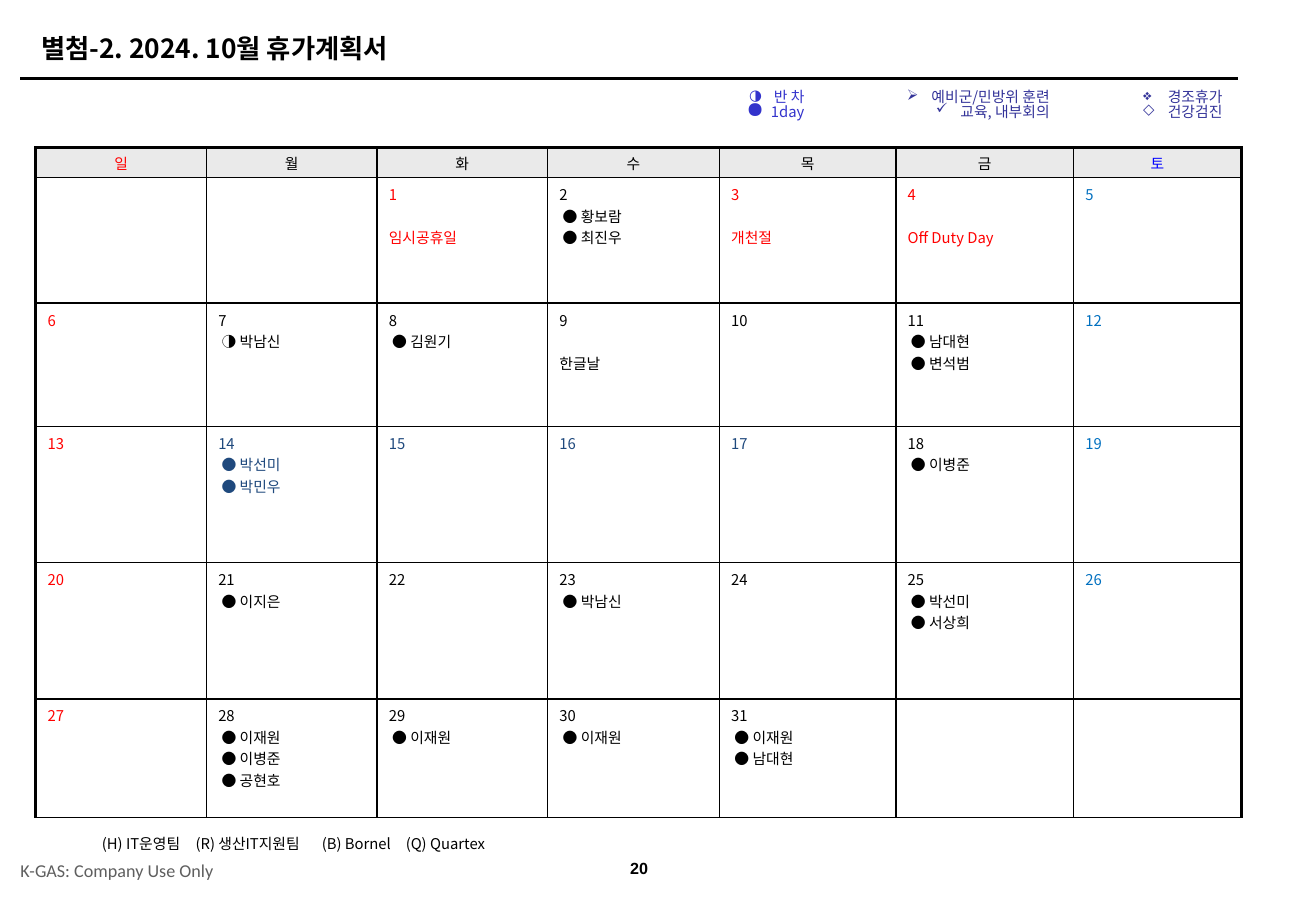
from dataclasses import dataclass

from lxml import etree
from pptx import Presentation
from pptx.dml.color import RGBColor
from pptx.enum.shapes import MSO_CONNECTOR
from pptx.enum.text import MSO_ANCHOR, PP_ALIGN
from pptx.oxml.ns import qn
from pptx.util import Pt

LEFT, CENTER, RIGHT = PP_ALIGN.LEFT, PP_ALIGN.CENTER, PP_ALIGN.RIGHT
TOP, MIDDLE = MSO_ANCHOR.TOP, MSO_ANCHOR.MIDDLE
STRAIGHT = MSO_CONNECTOR.STRAIGHT

BLACK = RGBColor(0x00, 0x00, 0x00)
RED = RGBColor(0xFF, 0x00, 0x00)
BLUE = RGBColor(0x00, 0x00, 0xFF)
SATURDAY_BLUE = RGBColor(0x00, 0x70, 0xC0)
NAVY = RGBColor(0x1F, 0x49, 0x7D)
HEADER_GRAY = RGBColor(0xEA, 0xEA, 0xEA)
FOOTER_GRAY = RGBColor(0x5F, 0x5F, 0x5F)
LEAVE_BLUE = RGBColor(0x33, 0x33, 0xCC)
EVENT_BLUE = RGBColor(0x33, 0x33, 0x99)

KOREAN = "Noto Sans CJK KR"
WEEKDAYS = "일월화수목금토"
COLUMN_WIDTHS = [103.7, 103.7, 103.7, 104.4, 107.3, 108, 102.2]
ROW_HEIGHTS = [18, 76.3, 74.9, 82.8, 82.8, 72]
FIRST_COLUMN, LAST_DAY = 2, 31
LINE_HEIGHT = 13

LEAVES = {
    2: ["● 황보람", "● 최진우"],
    7: ["◑ 박남신"],
    8: ["● 김원기"],
    11: ["● 남대현", "● 변석범"],
    14: ["● 박선미", "● 박민우"],
    18: ["● 이병준"],
    21: ["● 이지은"],
    23: ["● 박남신"],
    25: ["● 박선미", "● 서상희"],
    28: ["● 이재원", "● 이병준", "● 공현호"],
    29: ["● 이재원"],
    30: ["● 이재원"],
    31: ["● 이재원", "● 남대현"],
}
HOLIDAYS = {1: "임시공휴일", 3: "개천절", 4: "Off Duty Day", 9: "한글날"}
RED_DAYS = {1, 3, 4}
NAVY_DAYS = range(14, 18)


@dataclass(frozen=True)
class TextStyle:
    size: float = 9
    color: RGBColor = BLACK
    bold: bool = False
    font: str = KOREAN


@dataclass(frozen=True)
class LegendItem:
    bullet: str
    label: str
    bullet_percent: int = 100


@dataclass(frozen=True)
class Legend:
    left: float
    width: float
    color: RGBColor
    items: tuple[LegendItem, ...]


LEGENDS = [
    Legend(420, 69, LEAVE_BLUE, (LegendItem("◑", "반 차"), LegendItem("●", "1day", 150))),
    Legend(520, 118, EVENT_BLUE,
           (LegendItem("➢", "예비군/민방위 훈련"), LegendItem("✓", "교육, 내부회의"))),
    Legend(650, 93, EVENT_BLUE, (LegendItem("❖", "경조휴가"), LegendItem("◇", "건강검진"))),
]


def add_span(para, text: str, style: TextStyle) -> None:
    span = para.add_run()
    span.text = text
    span.font.size = Pt(style.size)
    span.font.bold = style.bold
    span.font.color.rgb = style.color
    span.font.name = style.font
    etree.SubElement(span.font._element, qn("a:ea")).set("typeface", style.font)


def add_box(page, left: float, top: float, width: float, height: float, anchor=MIDDLE):
    """Add a text box without margins and return its text frame."""
    frame = page.shapes.add_textbox(Pt(left), Pt(top), Pt(width), Pt(height)).text_frame
    frame.word_wrap = True
    frame.vertical_anchor = anchor
    frame.margin_left = frame.margin_right = frame.margin_top = frame.margin_bottom = 0
    return frame


def add_label(page, left: float, top: float, width: float, height: float,
              text: str, style: TextStyle, align=LEFT) -> None:
    para = add_box(page, left, top, width, height).paragraphs[0]
    para.alignment = align
    add_span(para, text, style)


def next_para(frame, index: int):
    return frame.paragraphs[0] if index == 0 else frame.add_paragraph()


def add_legend(page, legend: Legend) -> None:
    frame = add_box(page, legend.left, 55.6, legend.width, 22, TOP)
    for index, item in enumerate(legend.items):
        para = next_para(frame, index)
        properties = para._p.get_or_add_pPr()
        properties.set("marL", str(Pt(15)))
        properties.set("indent", str(Pt(-15)))
        color = etree.SubElement(properties, qn("a:buClr"))
        etree.SubElement(color, qn("a:srgbClr")).set("val", str(legend.color))
        size = etree.SubElement(properties, qn("a:buSzPct"))
        size.set("val", str(item.bullet_percent * 1000))
        etree.SubElement(properties, qn("a:buChar")).set("char", item.bullet)
        para.alignment = RIGHT
        para.line_spacing = 0.8
        add_span(para, item.label, TextStyle(color=legend.color))


def set_borders(cell, row: int, column: int) -> None:
    """Draw thin black lines, doubled on the left, top and right of the table."""
    widths = {
        "L": 2 if column == 0 else 1,
        "R": 2 if column == len(COLUMN_WIDTHS) - 1 else 1,
        "T": 2 if row == 0 else 1,
        "B": 1,
    }
    properties = cell._tc.get_or_add_tcPr()
    for position, (side, width) in enumerate(widths.items()):
        line = etree.Element(qn(f"a:ln{side}"), w=str(Pt(width)))
        fill = etree.SubElement(line, qn("a:solidFill"))
        etree.SubElement(fill, qn("a:srgbClr")).set("val", str(BLACK))
        properties.insert(position, line)


def day_color(day: int, column: int) -> RGBColor:
    if column == 0 or day in RED_DAYS:
        return RED
    if column == 6:
        return SATURDAY_BLUE
    return NAVY if day in NAVY_DAYS else BLACK


def fill_day(cell, day: int, column: int) -> None:
    style = TextStyle(color=day_color(day, column))
    frame = cell.text_frame
    add_span(frame.paragraphs[0], str(day), style)
    for leave in LEAVES.get(day, []):
        para = frame.add_paragraph()
        para._p.get_or_add_pPr().set("marL", str(Pt(2)))
        add_span(para, leave, style)
    if day in HOLIDAYS:
        para = frame.add_paragraph()
        para.space_before = Pt(LINE_HEIGHT)
        add_span(para, HOLIDAYS[day], style)


def add_calendar(page) -> None:
    table = page.shapes.add_table(
        len(ROW_HEIGHTS), len(COLUMN_WIDTHS), Pt(21.8), Pt(89.8),
        Pt(sum(COLUMN_WIDTHS)), Pt(sum(ROW_HEIGHTS))).table
    table.first_row = table.horz_banding = False
    for column, width in enumerate(COLUMN_WIDTHS):
        table.columns[column].width = Pt(width)
    for row, height in enumerate(ROW_HEIGHTS):
        table.rows[row].height = Pt(height)
        for column, weekday in enumerate(WEEKDAYS):
            cell = table.cell(row, column)
            cell.margin_left = cell.margin_right = Pt(7.2)
            cell.margin_top = cell.margin_bottom = Pt(3.6 if row else 2)
            day = (row - 1) * 7 + column - FIRST_COLUMN + 1
            if row == 0:
                cell.fill.solid()
                cell.fill.fore_color.rgb = HEADER_GRAY
                cell.vertical_anchor = MIDDLE
                para = cell.text_frame.paragraphs[0]
                para.alignment = CENTER
                add_span(para, weekday, TextStyle(color={0: RED, 6: BLUE}.get(column, BLACK)))
            else:
                cell.fill.background()
                if 1 <= day <= LAST_DAY:
                    fill_day(cell, day, column)
            set_borders(cell, row, column)


def add_team_key(page) -> None:
    para = add_box(page, 62, 504, 260, 17.3).paragraphs[0]
    tabs = etree.SubElement(para._p.get_or_add_pPr(), qn("a:tabLst"))
    for position in (57, 133.7, 184.7):
        etree.SubElement(tabs, qn("a:tab"), pos=str(Pt(position)), algn="l")
    add_span(para, "(H) IT운영팀\t(R) 생산IT지원팀\t(B) Bornel\t(Q) Quartex", TextStyle())


def add_title_rule(page) -> None:
    rule = page.shapes.add_connector(STRAIGHT, Pt(12.2), Pt(47.6), Pt(752.4), Pt(47.6))
    rule.line.color.rgb = BLACK
    rule.line.width = Pt(1.5)
    etree.SubElement(rule._element.spPr, qn("a:effectLst"))


def main() -> None:
    deck = Presentation()
    deck.slide_width, deck.slide_height = Pt(800), Pt(545)
    page = deck.slides.add_slide(deck.slide_layouts[6])
    add_title_rule(page)
    add_label(page, 25.2, 15.8, 700, 26.6, "별첨-2. 2024. 10월 휴가계획서", TextStyle(16, bold=True))
    for legend in LEGENDS:
        add_legend(page, legend)
    add_calendar(page)
    add_team_key(page)
    add_label(page, 12.4, 517.7, 138, 22.3, "K-GAS: Company Use Only",
              TextStyle(11, FOOTER_GRAY, font="Calibri"))
    add_label(page, 369, 516.2, 39, 22.3, "20", TextStyle(9.8, bold=True, font="Arial"), CENTER)
    deck.save("out.pptx")


if __name__ == "__main__":
    main()
